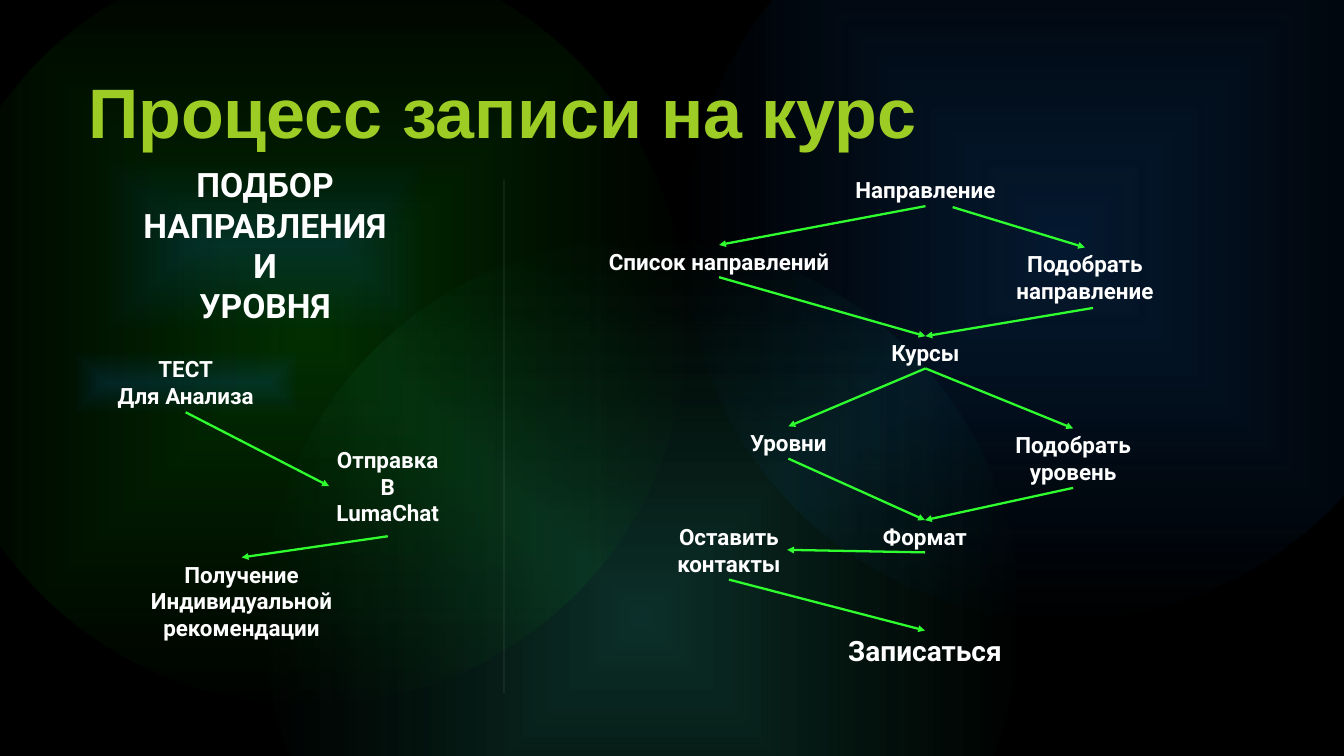
from dataclasses import dataclass
from lxml import etree
from pptx import Presentation
from pptx import util as u
from pptx.dml.color import RGBColor
from pptx.enum import shapes, text
from pptx.oxml import parse_xml
from pptx.oxml.ns import nsdecls, qn


@dataclass(frozen=True)
class Theme:
    black: str = "000000"
    white: str = "FFFFFF"
    lime: str = "9DCD25"
    arrow: str = "2FFF2F"
    glow_green: tuple = ("08BC08", "08BC08")
    glow_teal: tuple = ("31C2A7", "209F6D")
    glow_blue: tuple = ("1164C0", "1164C0")
    title_font: str = "Arial"
    body_font: str = "Roboto"
    title_size: int = 100
    heading_size: int = 48
    final_size: int = 40
    body_size: int = 32


THEME = Theme()
COLUMNS, ROWS = 26.67, 15  # grid cells, one inch each


def cells(*values):
    return [u.Inches(value) for value in values]


def set_format(target, values):
    for name, value in values.items():
        setattr(target, name, value)


def style_font(font, name, size, color):
    set_format(font, {"name": name, "size": u.Pt(size), "bold": True})
    font.color.rgb = RGBColor.from_string(color)


def add_glow(page, kind, box, colors, alpha, start=0):
    """Shape that fades from its centre to full transparency."""
    shape = page.shapes.add_shape(kind, *cells(*box))
    shape.shadow.inherit = False
    shape.line.fill.background()
    inner, outer = colors
    properties = shape._element.spPr
    gradient = parse_xml(
        f'<a:gradFill {nsdecls("a")} rotWithShape="1"><a:gsLst>'
        f'<a:gs pos="{start * 1000}"><a:srgbClr val="{inner}"><a:alpha val="{alpha * 1000}"/></a:srgbClr></a:gs>'
        f'<a:gs pos="100000"><a:srgbClr val="{outer}"><a:alpha val="0"/></a:srgbClr></a:gs>'
        '</a:gsLst><a:path path="shape">'
        '<a:fillToRect l="50000" t="50000" r="50000" b="50000"/></a:path></a:gradFill>')
    properties.find(qn("a:prstGeom")).addnext(gradient)
    return shape


def add_line(page, start, end, color, width):
    line = page.shapes.add_connector(shapes.MSO_CONNECTOR.STRAIGHT, *cells(*start, *end))
    line.line.color.rgb = RGBColor.from_string(color)
    line.line.width = u.Pt(width)
    etree.SubElement(line._element.spPr, qn("a:effectLst"))
    return line


def add_arrow(page, start, end):
    arrow = add_line(page, start, end, THEME.arrow, 3.25)
    etree.SubElement(arrow.line._get_or_add_ln(), qn("a:tailEnd"), type="triangle")


def add_step(page, box, lines, size=THEME.body_size, wrap=False, glow=False):
    if glow:
        shape = add_glow(page, shapes.MSO_SHAPE.RECTANGLE, box, THEME.glow_blue, 19, 1)
    else:
        shape = page.shapes.add_textbox(*cells(*box))
    frame = shape.text_frame
    inset = u.Inches(0.06 if wrap else 0.05)
    set_format(frame, {"word_wrap": wrap, "vertical_anchor": text.MSO_ANCHOR.MIDDLE,
                       "margin_left": inset, "margin_right": inset,
                       "margin_top": inset, "margin_bottom": inset})
    for index, line in enumerate(lines):
        para = frame.paragraphs[0] if index == 0 else frame.add_paragraph()
        para.alignment = text.PP_ALIGN.CENTER
        span = para.add_run()
        span.text = line
        style_font(span.font, THEME.body_font, size, THEME.white)


def side(box, name, shift=(0, 0)):
    """Middle of one side of a box, moved by shift."""
    left, top, width, height = box
    across, down = {"top": (0.5, 0), "bottom": (0.5, 1),
                    "left": (0, 0.5), "right": (1, 0.5)}[name]
    return left + width * across + shift[0], top + height * down + shift[1]


def add_flow(page, box, steps, links, wrap=False):
    """Steps are placed from the region's corner; links join their sides."""
    placed = {}
    for name, (place, lines, options) in steps.items():
        placed[name] = (box[0] + place[0], box[1] + place[1], *place[2:])
        add_step(page, placed[name], lines, wrap=wrap, **options)
    for source, target, *details in links:
        extra = details[0] if details else {}
        start = side(placed[source], "bottom", extra.get("start", (0, 0)))
        end = side(placed[target], extra.get("into", "top"), extra.get("end", (0, 0)))
        add_arrow(page, start, end)


def add_backdrop(page):
    fill = page.background.fill
    fill.solid()
    fill.fore_color.rgb = RGBColor.from_string(THEME.black)
    circles = [(-1.37, -1.02, THEME.glow_green, 0), (5.22, 4.76, THEME.glow_teal, 0),
               (13.6, -2.7, THEME.glow_blue, 1)]
    for left, top, colors, start in circles:
        add_glow(page, shapes.MSO_SHAPE.OVAL, (left, top, ROWS, ROWS), colors, 25, start)


def add_title(page, box):
    title = page.shapes.title
    page.shapes._spTree.append(title._element)  # in front of the backdrop
    set_format(title, dict(zip(("left", "top", "width", "height"), cells(*box))))
    frame = title.text_frame
    frame.text = "Процесс записи на курс"
    set_format(frame, {"word_wrap": False, "auto_size": text.MSO_AUTO_SIZE.NONE,
                       "vertical_anchor": text.MSO_ANCHOR.TOP,
                       "margin_left": u.Inches(0.06), "margin_right": u.Inches(0.06),
                       "margin_top": u.Inches(0.85), "margin_bottom": 0})
    para = frame.paragraphs[0]
    para.alignment = text.PP_ALIGN.LEFT
    style_font(para.runs[0].font, THEME.title_font, THEME.title_size, THEME.lime)


def add_divider(page, column, top, bottom):
    divider = add_line(page, (column, bottom), (column, top), THEME.white, 0.5)
    color = divider.line._get_or_add_ln().find(".//" + qn("a:srgbClr"))
    etree.SubElement(color, qn("a:alpha"), val="50000")


def add_selection_flow(page, box):
    steps = {
        "heading": ((1.14, 0.19, 6.24, 3.34), ["ПОДБОР НАПРАВЛЕНИЯ", "И", "УРОВНЯ"],
                    {"size": THEME.heading_size, "glow": True}),
        "test": ((0.47, 3.99, 4.43, 1.19), ["ТЕСТ", "Для Анализа"], {"glow": True}),
        "send": ((4.48, 5.78, 4.43, 1.73), ["Отправка", "В", "LumaChat"], {}),
        "advice": ((1.58, 8.06, 4.43, 1.73), ["Получение", "Индивидуальной рекомендации"], {}),
    }
    links = [("test", "send", {"into": "left", "end": (1.05, 0)}),
             ("send", "advice", {"start": (0, 0.13)})]
    add_flow(page, box, steps, links, wrap=True)


def add_enrolment_flow(page, box):
    steps = {
        "direction": ((6.57, 0.45, 3.59, 0.64), ["Направление"], {}),
        "list": ((1.84, 1.86, 4.86, 0.64), ["Список направлений"], {}),
        "pick direction": ((9.97, 1.91, 3.12, 1.18), ["Подобрать", "направление"], {}),
        "courses": ((7.55, 3.67, 1.63, 0.64), ["Курсы"], {}),
        "levels": ((4.72, 5.46, 1.85, 0.64), ["Уровни"], {}),
        "pick level": ((9.97, 5.5, 2.65, 1.18), ["Подобрать", "уровень"], {}),
        "format": ((7.39, 7.32, 1.93, 0.64), ["Формат"], {}),
        "contacts": ((3.31, 7.32, 2.31, 1.18), ["Оставить", "контакты"], {}),
        "enrol": ((6.64, 9.51, 3.43, 0.77), ["Записаться"], {"size": THEME.final_size}),
    }
    links = [("direction", "list"),
             ("direction", "pick direction", {"start": (0.54, 0.02)}),
             ("list", "courses"),
             ("pick direction", "courses", {"start": (0.16, 0.02)}),
             ("courses", "levels"), ("courses", "pick level"),
             ("pick level", "format"), ("levels", "format"),
             ("format", "contacts", {"into": "right"}),
             ("contacts", "enrol")]
    add_flow(page, box, steps, links)


def main():
    deck = Presentation()
    deck.slide_width, deck.slide_height = cells(COLUMNS, ROWS)
    page = deck.slides.add_slide(deck.slide_layouts.get_by_name("Title Only"))
    add_backdrop(page)
    add_title(page, (1.69, 0.51, 16.78, 2.27))
    add_divider(page, 10, 3.56, 13.76)
    add_selection_flow(page, (1, 3))
    add_enrolment_flow(page, (10, 3))
    deck.save("out.pptx")


if __name__ == "__main__":
    main()
